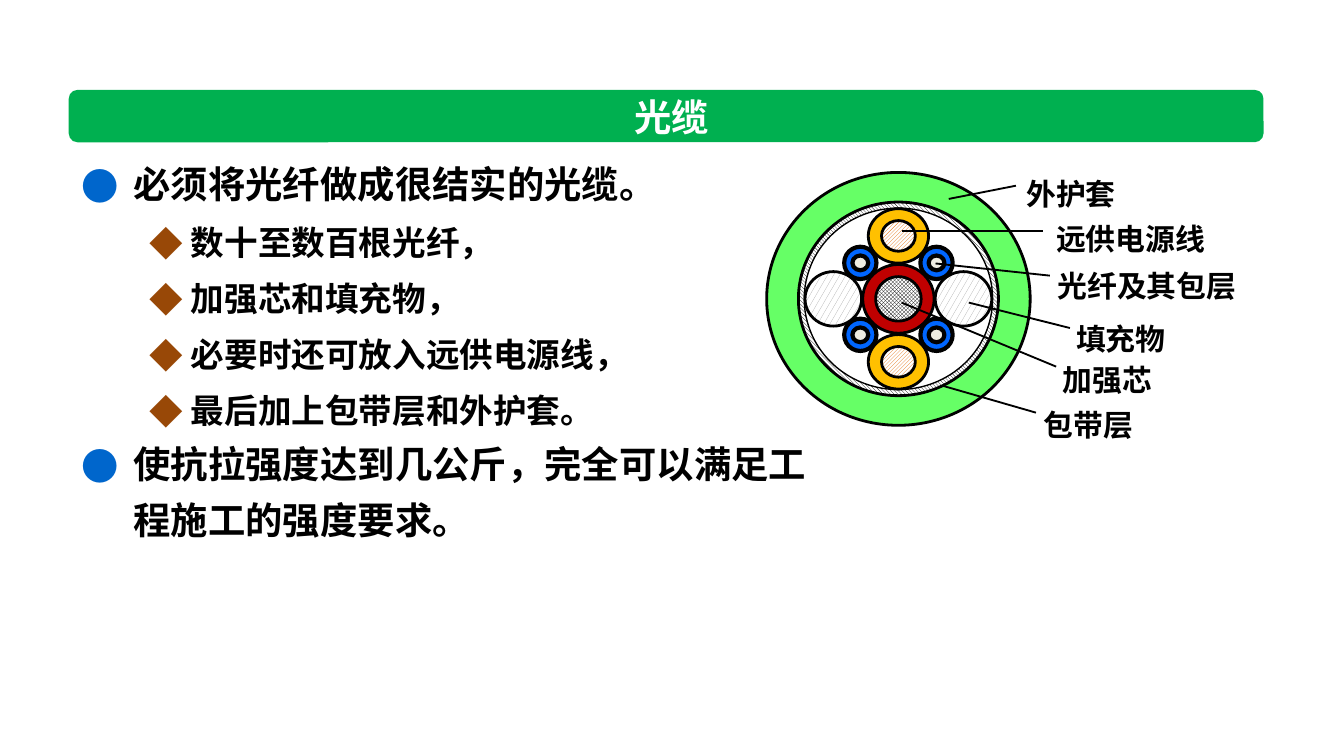
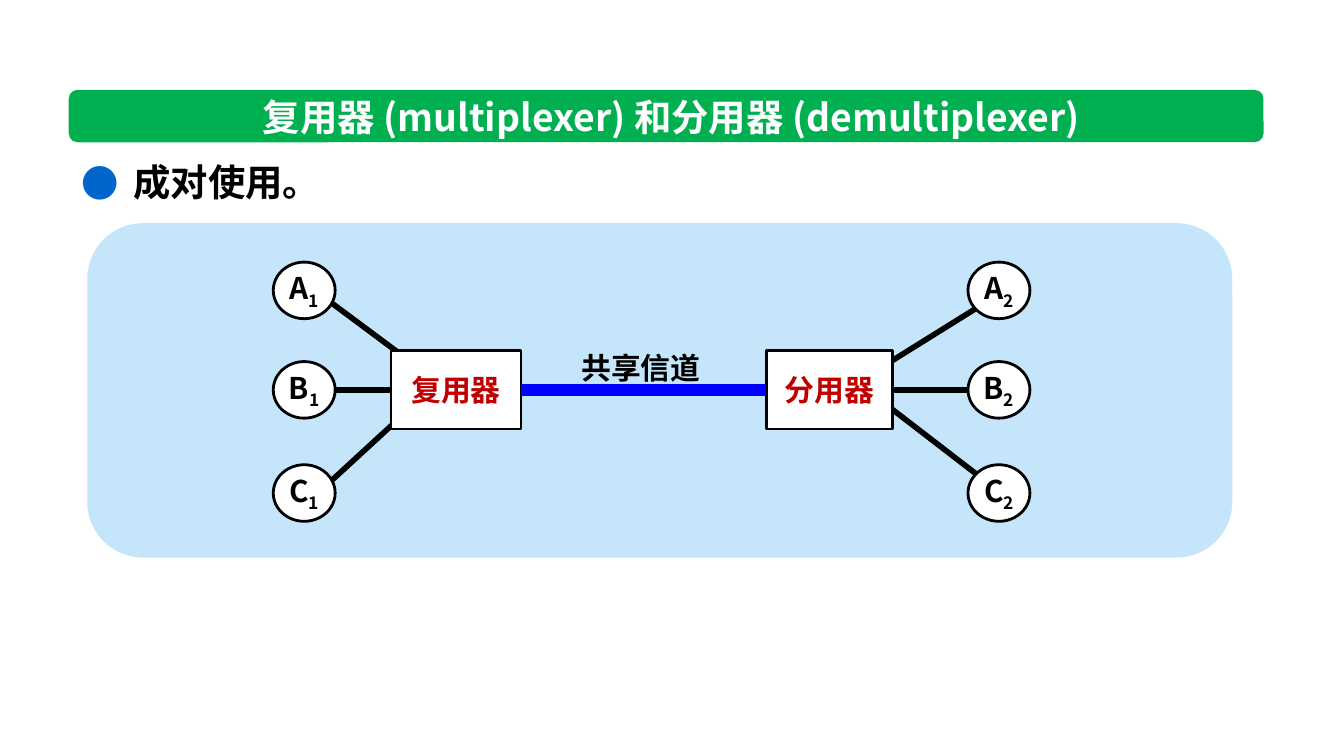
import pptx
import pptx.dml.color
import pptx.enum.dml
import pptx.enum.shapes
import pptx.enum.text
import pptx.oxml
import pptx.oxml.ns
import pptx.util
from pptx.util import Cm

FONT = "Noto Sans CJK SC"
BLACK, WHITE, GREEN, RED = "000000", "FFFFFF", "00B050", "C00000"
SHAPE = pptx.enum.shapes.MSO_SHAPE
PATTERN = pptx.enum.dml.MSO_PATTERN
ALIGN = pptx.enum.text.PP_ALIGN
ANCHOR = pptx.enum.text.MSO_ANCHOR
FIT = pptx.enum.text.MSO_AUTO_SIZE
BULLETS = [
    {"sign": "●", "color": "0066CC", "left": 0.97, "hang": 0.97, "size": 20},
    {"sign": "◆", "color": "984807", "left": 2.06, "hang": 0.79, "size": 18},
]


def rgb(value):
    return pptx.dml.color.RGBColor.from_string(value)


def element(tag, **attributes):
    node = pptx.oxml.parse_xml(f"<a:{tag} {pptx.oxml.ns.nsdecls('a')}/>")
    for name, value in attributes.items():
        node.set(name, str(value))
    return node


def write(para, text, size=16, color=BLACK, align=None, baseline=None):
    if align is not None:
        para.alignment = align
    span = para.add_run()
    span.text = text
    span.font.size = pptx.util.Pt(size)
    span.font.bold = True
    span.font.color.rgb = rgb(color)
    span.font.name = FONT
    properties = span.font._element
    properties.append(element("ea", typeface=FONT))
    if baseline:
        properties.set("baseline", str(baseline))


class Painter:
    def __init__(self, deck):
        self.deck = deck
        self.page = None

    def start(self, title):
        self.page = self.deck.slides.add_slide(self.deck.slide_layouts[6])
        self.shape(SHAPE.ROUNDED_RECTANGLE, 1.3, 1.7, 22.58, 0.99, GREEN)
        frame = self.text_box(3.48, 1.7, 18.42, 0.99)
        frame.vertical_anchor = ANCHOR.MIDDLE
        write(frame.paragraphs[0], title, size=20, color=WHITE, align=ALIGN.CENTER)

    def shape(self, kind, left, top, width, height, fill, line=None, pattern=None):
        box = self.page.shapes.add_shape(kind, Cm(left), Cm(top), Cm(width), Cm(height))
        box.shadow.inherit = False
        if pattern is None:
            box.fill.solid()
            box.fill.fore_color.rgb = rgb(fill)
        else:
            box.fill.patterned()
            box.fill.pattern = pattern
            box.fill.fore_color.rgb = rgb(fill)
            box.fill.back_color.rgb = rgb(WHITE)
        if line is None:
            box.line.fill.background()
        else:
            box.line.width = pptx.util.Pt(line)
            box.line.color.rgb = rgb(BLACK)
        return box

    def disc(self, x, y, width, height, fill, line=1.5, pattern=None):
        return self.shape(SHAPE.OVAL, x - width / 2, y - height / 2, width, height,
                          fill, line, pattern)

    def text_box(self, left, top, width, height):
        box = self.page.shapes.add_textbox(Cm(left), Cm(top), Cm(width), Cm(height))
        box.text_frame.word_wrap = True
        return box.text_frame

    def label(self, text, left, top):
        frame = self.text_box(left, top, 0.56 * len(text) + 0.53, 0.94)
        frame.word_wrap = False
        frame.auto_size = FIT.SHAPE_TO_FIT_TEXT
        write(frame.paragraphs[0], text)

    def caption(self, box, text, color=BLACK, subscript=None):
        frame = box.text_frame
        frame.word_wrap = False
        frame.vertical_anchor = ANCHOR.MIDDLE
        para = frame.paragraphs[0]
        write(para, text, color=color, align=ALIGN.CENTER)
        if subscript:
            write(para, subscript, color=color, baseline=-25000)

    def bullets(self, items, left, top, width, height):
        frame = self.text_box(left, top, width, height)
        for number, (level, text) in enumerate(items):
            para = frame.add_paragraph() if number else frame.paragraphs[0]
            style = BULLETS[level]
            para.level = level
            properties = para._p.get_or_add_pPr()
            properties.set("marL", str(Cm(style["left"])))
            properties.set("indent", str(-Cm(style["hang"])))
            tint = element("buClr")
            tint.append(element("srgbClr", val=style["color"]))
            properties.append(tint)
            properties.append(element("buFont", typeface=FONT))
            properties.append(element("buChar", char=style["sign"]))
            para.line_spacing = pptx.util.Pt(30)
            write(para, text, size=style["size"])

    def line(self, start, end, width, color=BLACK):
        connector = self.page.shapes.add_connector(
            pptx.enum.shapes.MSO_CONNECTOR.STRAIGHT,
            *(Cm(value) for value in (*start, *end)))
        connector.line.width = pptx.util.Pt(width)
        connector.line.color.rgb = rgb(color)
        connector._element.spPr.append(element("effectLst"))
        return connector


def draw_cable(painter):
    painter.start("光缆")
    painter.bullets([
        (0, "必须将光纤做成很结实的光缆。"),
        (1, "数十至数百根光纤，"),
        (1, "加强芯和填充物，"),
        (1, "必要时还可放入远供电源线，"),
        (1, "最后加上包带层和外护套。"),
        (0, "使抗拉强度达到几公斤，完全可以满足工程施工的强度要求。"),
    ], 1.3, 2.72, 14.66, 8.81)

    x, y = 16.98, 5.65
    for width, height, fill, line, pattern in [
        (4.98, 4.78, "66FF66", 1.5, None),
        (3.78, 3.66, BLACK, 1.5, PATTERN.DARK_DOWNWARD_DIAGONAL),
        (3.56, 3.43, WHITE, 0.75, None),
        (1.35, 1.3, RED, 1.5, None),
        (0.86, 0.84, BLACK, 1.5, PATTERN.SMALL_CHECKER_BOARD),
    ]:
        painter.disc(x, y, width, height, fill, line, pattern)
    for side in (-1, 1):
        painter.disc(x + side * 1.23, y, 1.07, 1.03, "A6A6A6", pattern=PATTERN.LARGE_CONFETTI)
        power_y = y + side * 1.19
        painter.disc(x, power_y, 1.14, 1.03, "FFC000")
        painter.disc(x, power_y, 0.64, 0.58, "E46C0A", pattern=PATTERN.DARK_UPWARD_DIAGONAL)
        for level in (-1, 1):
            fibre = x + side * 0.72, y + level * 0.68
            painter.disc(*fibre, 0.61, 0.61, "0066FF", 2.25)
            painter.disc(*fibre, 0.3, 0.28, "EEECE1", 2.25)

    for text, left, top, start, end in [
        ("外护套", 19.15, 3.2, (17.93, 3.76), (19.2, 3.51)),
        ("远供电源线", 19.71, 4.04, (17.04, 4.37), (19.71, 4.37)),
        ("光纤及其包层", 19.74, 4.93, (17.68, 4.98), (19.84, 5.21)),
        ("填充物", 20.09, 5.94, (18.31, 5.72), (20.22, 6.2)),
        ("加强芯", 19.84, 6.71, (17.04, 5.72), (19.96, 6.93)),
        ("包带层", 19.48, 7.57, (17.81, 7.29), (19.58, 7.8)),
    ]:
        painter.label(text, left, top)
        painter.line(start, end, 1)


def draw_multiplexer(painter):
    painter.start("复用器 (multiplexer) 和分用器 (demultiplexer)")
    painter.shape(SHAPE.ROUNDED_RECTANGLE, 1.65, 4.22, 21.64, 6.32, "C5E5FB")
    painter.bullets([(0, "成对使用。")], 1.3, 2.67, 22.58, 9.37)
    painter.label("共享信道", 10.74, 6.48)

    middle = 7.37
    devices = []
    for name, left, width, station_x, station_edge, inner_x, outer_x, number, site in [
        ("复用器", 7.39, 2.46, 5.75, 6.33, 7.75, 6.15, "1", 1),
        ("分用器", 14.48, 2.39, 18.88, 18.29, 16.84, 18.75, "2", 3),
    ]:
        for inner_y, outer_y in [(6.83, 5.64), (7.72, 9.19)]:
            painter.line((inner_x, inner_y), (outer_x, outer_y), 3)
        device = painter.shape(SHAPE.RECTANGLE, left, middle - 0.74, width, 1.48, WHITE, 1.5)
        painter.caption(device, name, color=RED)
        devices.append(device)
        link = painter.line((station_edge, middle), (inner_x, middle), 3)
        link.end_connect(device, site)
        for letter, station_y in zip("ABC", (5.49, middle, 9.32)):
            station = painter.disc(station_x, station_y, 1.17, 1.07, WHITE)
            painter.caption(station, letter, subscript=number)

    channel = painter.line((9.85, middle), (14.48, middle), 6, "0000FF")
    channel.begin_connect(devices[0], 3)
    channel.end_connect(devices[1], 1)


def main():
    deck = pptx.Presentation()
    deck.slide_width, deck.slide_height = Cm(25.4), Cm(14.29)
    painter = Painter(deck)
    draw_cable(painter)
    draw_multiplexer(painter)
    deck.save("out.pptx")


if __name__ == "__main__":
    main()
